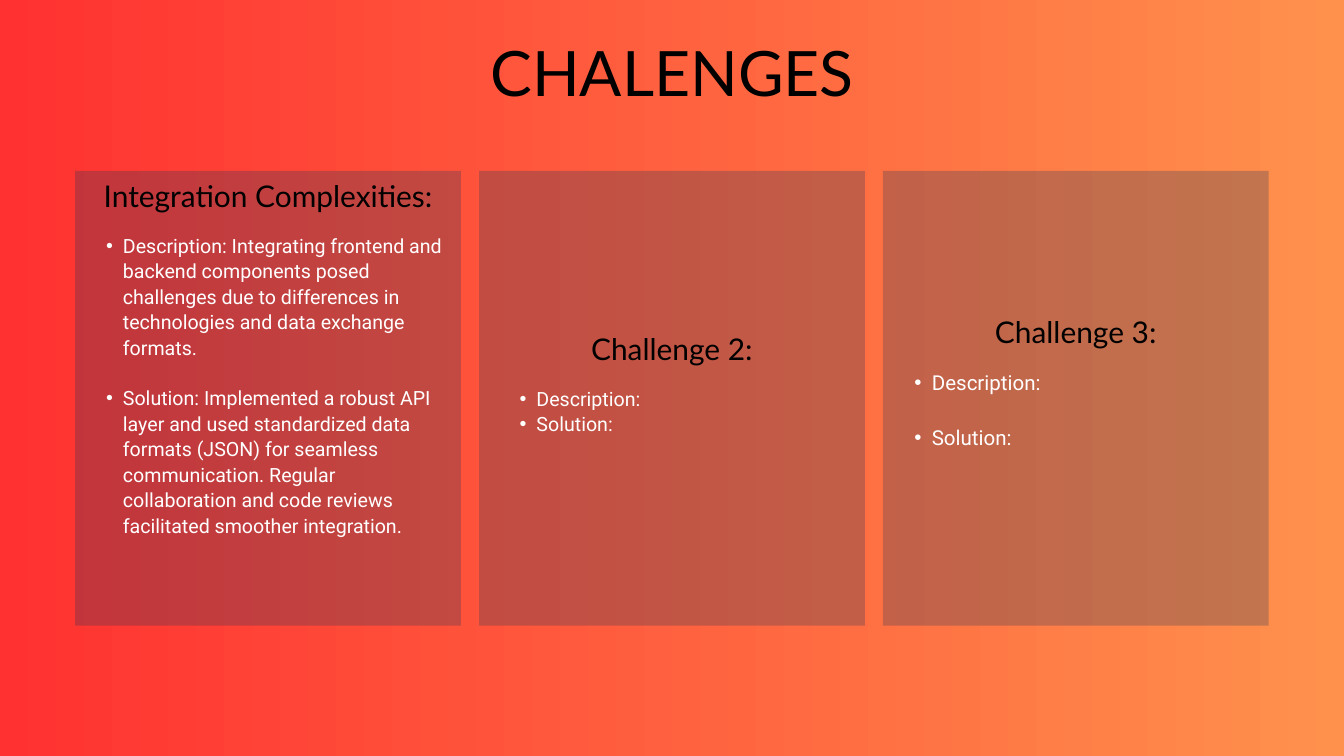
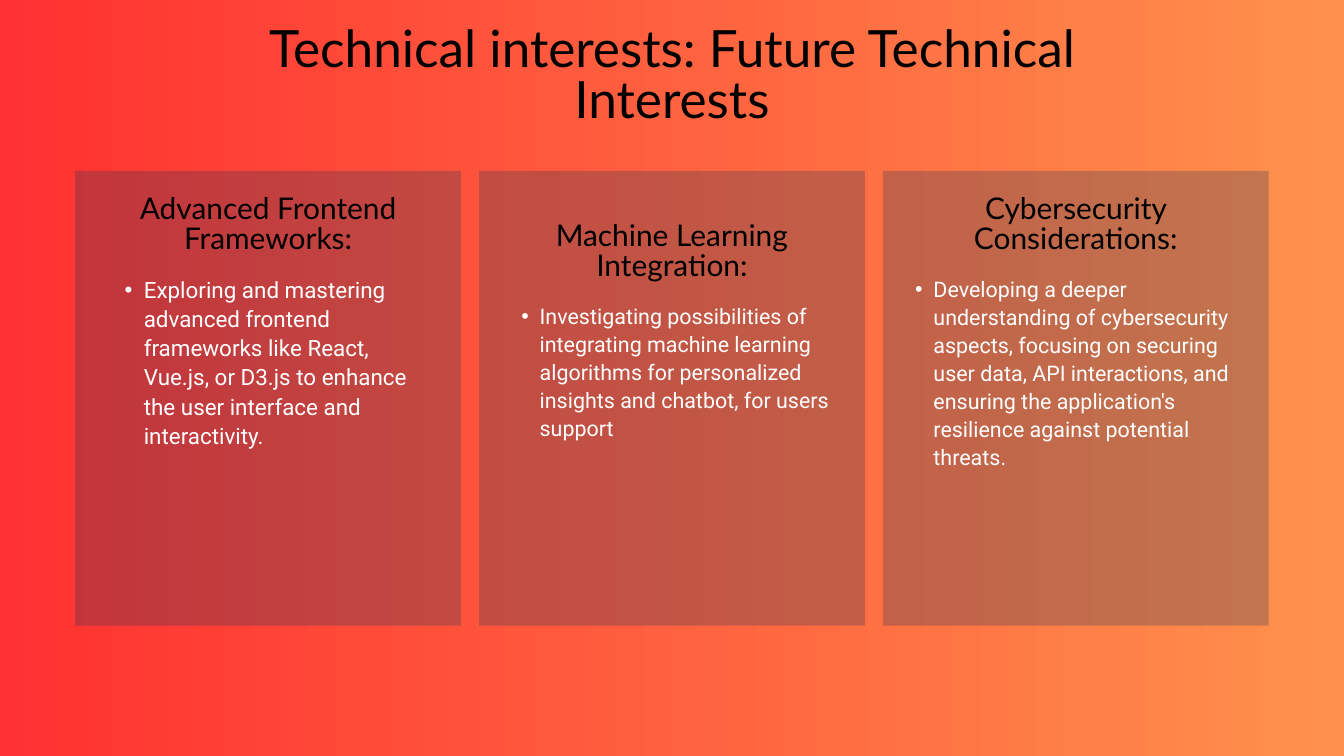
from pptx import Presentation
from pptx.dml.color import RGBColor
from pptx.enum.shapes import MSO_SHAPE
from pptx.enum.text import MSO_ANCHOR, MSO_AUTO_SIZE, PP_ALIGN
from pptx.oxml.xmlchemy import OxmlElement
from pptx.util import Pt

RECTANGLE = MSO_SHAPE.RECTANGLE
TOP = MSO_ANCHOR.TOP
NO_FIT = MSO_AUTO_SIZE.NONE
CENTER, LEFT = PP_ALIGN.CENTER, PP_ALIGN.LEFT

COLORS = {
    "gradient_start": "FF3131",
    "gradient_end": "FF914D",
    "panel": "163459",
    "heading": "000000",
    "body": "FFFFFF",
}
HEADING_FONT, BODY_FONT = "Lato", "Roboto"

# Layout in points
PAGE_WIDTH, PAGE_HEIGHT = 1440, 810
PANEL_WIDTH, PANEL_HEIGHT, PANEL_TOP = 413.3, 487.4, 183
PANEL_PITCH = 432.7
PANEL_LEFT = (PAGE_WIDTH - PANEL_WIDTH - 2 * PANEL_PITCH) / 2
PANEL_ALPHA = "26000"
HEADING_SIZE = 32
LIST_GAP = 19.5
LINE_RATIO = 1.3
INDENT_RATIO = 1.71
COMPARISON_LAYOUT = 4
LIST_SLOTS = (1, 2, 3)
SPARE_SLOT = 4

# Each column: heading, heading lines, heading top, text width,
# list size, space between items, list height, items
PAGES = [
    {
        "title": "CHALENGES",
        "title_size": 67,
        "title_box": (49.5, 898.6, 71.3),
        "columns": [
            ("Integration Complexities:", 1, 196.6, 383, 21, 27.3, 427, [
                "Description: Integrating frontend and backend components posed "
                "challenges due to differences in technologies and data exchange formats.",
                "Solution: Implemented a robust API layer and used standardized data "
                "formats (JSON) for seamless communication. Regular collaboration and "
                "code reviews facilitated smoother integration.",
            ]),
            ("Challenge 2:", 1, 360.7, 362.2, 21, 0, 53.3,
             ["Description:", "Solution:"]),
            ("Challenge 3:", 1, 342.7, 383.8, 22, 29.9, 143.3,
             ["Description:", "Solution:"]),
        ],
    },
    {
        "title": "Technical interests: Future Technical Interests",
        "title_size": 55,
        "title_box": (28, 939.6, 113),
        "columns": [
            ("Advanced Frontend Frameworks:", 2, 210, 348.5, 24, 0, 272, [
                "Exploring and mastering advanced frontend frameworks like React, "
                "Vue.js, or D3.js to enhance the user interface and interactivity.",
            ]),
            ("Machine Learning Integration:", 2, 239, 362.2, 23, 0, 144.7, [
                "Investigating possibilities of integrating machine learning "
                "algorithms for personalized insights and chatbot, for users support",
            ]),
            ("Cybersecurity Considerations:", 2, 210, 383.8, 23, 0, 232.6, [
                "Developing a deeper understanding of cybersecurity aspects, focusing "
                "on securing user data, API interactions, and ensuring the "
                "application's resilience against potential threats.",
            ]),
        ],
    },
]


def place_text(box, center, top, width, height):
    """Center a text shape on a column and clear its frame settings."""
    box.left, box.top = Pt(center - width / 2), Pt(top)
    box.width, box.height = Pt(width), Pt(height)
    frame = box.text_frame
    frame.margin_left = frame.margin_right = 0
    frame.margin_top = frame.margin_bottom = 0
    frame.word_wrap = True
    frame.auto_size = NO_FIT
    frame.vertical_anchor = TOP
    return frame


def write(para, text, font, size, color, align, line, before=0):
    """Fill a paragraph with one formatted run."""
    para.alignment = align
    para.line_spacing = Pt(line)
    para.space_before = Pt(before)
    para.space_after = Pt(0)
    span = para.add_run()
    span.text = text
    span.font.name = font
    span.font.size = Pt(size)
    span.font.bold = False
    span.font.color.rgb = RGBColor.from_string(COLORS[color])


deck = Presentation()
deck.slide_width, deck.slide_height = Pt(PAGE_WIDTH), Pt(PAGE_HEIGHT)

for content in PAGES:
    page = deck.slides.add_slide(deck.slide_layouts[COMPARISON_LAYOUT])

    # Background gradient
    backdrop = page.background.fill
    backdrop.gradient()
    backdrop.gradient_angle = 0
    for stop, name in zip(backdrop.gradient_stops, ("gradient_start", "gradient_end")):
        stop.color.rgb = RGBColor.from_string(COLORS[name])

    # Title
    title_top, title_width, title_height = content["title_box"]
    frame = place_text(page.shapes.title, PAGE_WIDTH / 2, title_top, title_width, title_height)
    size = content["title_size"]
    write(frame.paragraphs[0], content["title"], HEADING_FONT, size, "heading", CENTER, size)

    slots = {slot.placeholder_format.idx: slot for slot in page.placeholders}
    spare = slots[SPARE_SLOT].element
    spare.getparent().remove(spare)

    for number, column in enumerate(content["columns"]):
        heading, lines, top, width, size, gap, list_height, items = column
        left = PANEL_LEFT + number * PANEL_PITCH
        center = left + PANEL_WIDTH / 2

        # Translucent panel, sent behind the text
        panel = page.shapes.add_shape(
            RECTANGLE, Pt(left), Pt(PANEL_TOP), Pt(PANEL_WIDTH), Pt(PANEL_HEIGHT))
        panel.shadow.inherit = False
        panel.line.fill.background()
        panel.fill.solid()
        panel.fill.fore_color.rgb = RGBColor.from_string(COLORS["panel"])
        alpha = OxmlElement("a:alpha")
        alpha.set("val", PANEL_ALPHA)
        panel.element.spPr.find(".//{*}srgbClr").append(alpha)
        page.shapes.element.insert(2 + number, panel.element)

        # Column heading
        heading_height = lines * HEADING_SIZE
        box = page.shapes.add_textbox(0, 0, 0, 0)
        frame = place_text(box, center, top, width, heading_height)
        write(frame.paragraphs[0], heading, HEADING_FONT, HEADING_SIZE,
              "heading", CENTER, HEADING_SIZE)

        # Bulleted list
        frame = place_text(slots[LIST_SLOTS[number]], center,
                           top + heading_height + LIST_GAP, width, list_height)
        indent = Pt(INDENT_RATIO * size)
        for order, item in enumerate(items):
            para = frame.add_paragraph() if order else frame.paragraphs[0]
            properties = para._p.get_or_add_pPr()
            properties.set("marL", str(indent))
            properties.set("indent", str(-indent // 2))
            bullet_font = OxmlElement("a:buFont")
            bullet_font.set("typeface", "Arial")
            bullet = OxmlElement("a:buChar")
            bullet.set("char", "•")
            properties.extend([bullet_font, bullet])
            write(para, item, BODY_FONT, size, "body", LEFT,
                  LINE_RATIO * size, gap if order else 0)

deck.save("out.pptx")
